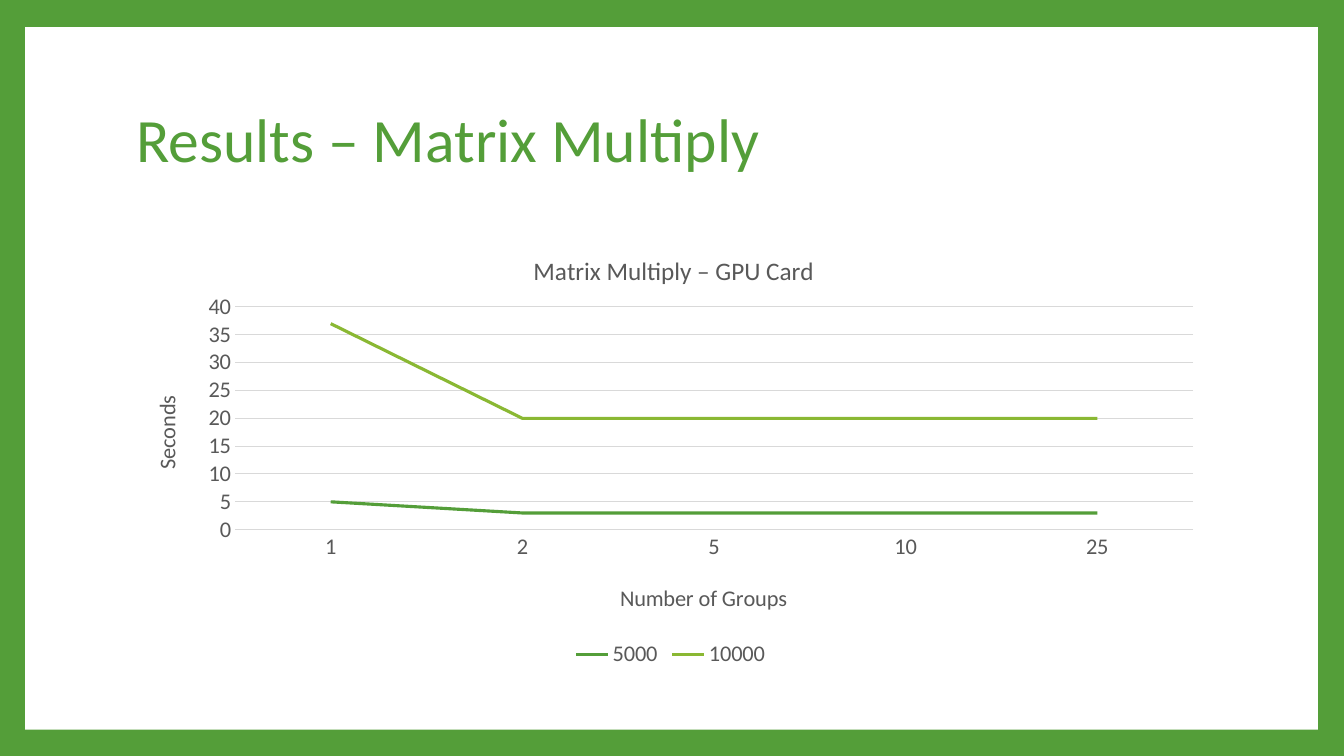
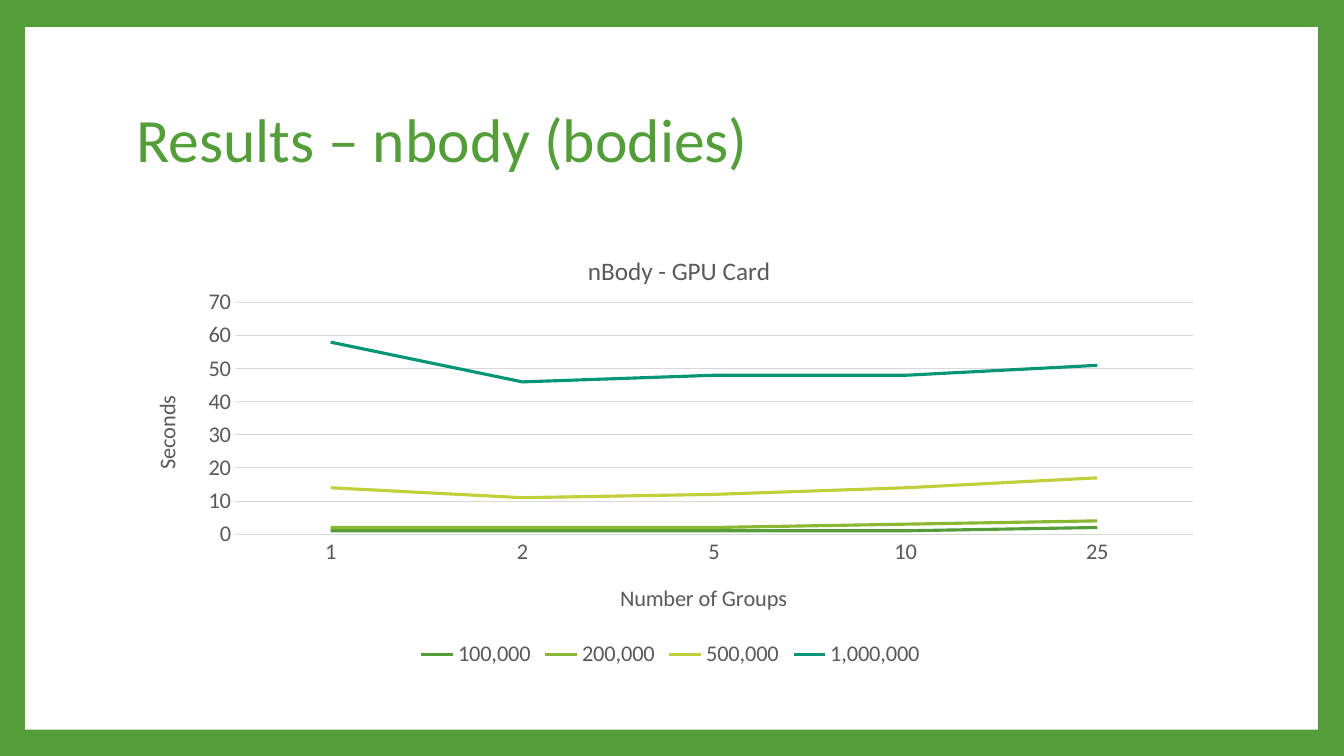
from dataclasses import dataclass

from lxml.etree import SubElement
from pptx import Presentation
from pptx.chart.data import CategoryChartData
from pptx.dml.color import RGBColor
from pptx.enum.chart import XL_CHART_TYPE as ChartType
from pptx.enum.chart import XL_LEGEND_POSITION as LegendPosition
from pptx.enum.chart import XL_TICK_MARK as TickMark
from pptx.enum.shapes import MSO_SHAPE as ShapeKind
from pptx.enum.text import MSO_ANCHOR as Anchor
from pptx.enum.text import PP_ALIGN as Align
from pptx.oxml.ns import qn
from pptx.util import Inches, Pt

# Shared style
FONT = "Calibri"
COLORS = {
    "green": "549E39",
    "lime": "8AB833",
    "yellow": "C0CF3A",
    "teal": "029676",
    "white": "FFFFFF",
    "text": "595959",
    "grid": "D9D9D9",
}
SERIES_COLORS = ("green", "lime", "yellow", "teal")
GROUPS = ("1", "2", "5", "10", "25")
TITLE_ONLY = 5


@dataclass
class ChartSlide:
    title: str
    chart_title: str
    title_left: float  # fractions of the chart size
    plot_top: float
    plot_height: float
    maximum: int
    step: int
    series: dict[str, tuple[int, ...]]


SLIDES = (
    ChartSlide(
        "Results – Matrix Multiply", "Matrix Multiply – GPU Card", 0.37, 0.18, 0.5, 40, 5,
        {"5000": (5, 3, 3, 3, 3), "10000": (37, 20, 20, 20, 20)},
    ),
    ChartSlide(
        "Results – nbody (bodies)", "nBody - GPU Card", 0.42, 0.17, 0.52, 70, 10,
        {
            "100,000": (1, 1, 1, 1, 2),
            "200,000": (2, 2, 2, 3, 4),
            "500,000": (14, 11, 12, 14, 17),
            "1,000,000": (58, 46, 48, 48, 51),
        },
    ),
)


def rgb(name: str) -> RGBColor:
    return RGBColor.from_string(COLORS[name])


def style_font(font, size: int, color: str = "text") -> None:
    font.name = FONT
    font.size = Pt(size)
    font.bold = False
    font.color.rgb = rgb(color)


def style_line(line, color: str, width: float) -> None:
    line.color.rgb = rgb(color)
    line.width = Pt(width)


def set_layout(element, index: int, settings: dict) -> None:
    """Give a chart part a fixed place, in fractions of the chart."""
    for old in element.findall(qn("c:layout")):
        element.remove(old)
    layout = SubElement(element, qn("c:layout"))
    manual = SubElement(layout, qn("c:manualLayout"))
    for tag, value in settings.items():
        SubElement(manual, qn(f"c:{tag}")).set("val", str(value))
    element.insert(index, layout)


def write_chart_text(title, text: str, size: int, left: float, top: float) -> None:
    title.text_frame.text = text
    style_font(title.text_frame.paragraphs[0].font, size)
    set_layout(title.element, 1, {"xMode": "edge", "yMode": "edge", "x": left, "y": top})


def style_master(presentation, slide) -> None:
    """Green background with a white panel, on the master."""
    master = presentation.slide_master
    master.background.fill.solid()
    master.background.fill.fore_color.rgb = rgb("green")
    panel = slide.shapes.add_shape(
        ShapeKind.RECTANGLE, Inches(0.25), Inches(0.27), Inches(12.82), Inches(6.97)
    )
    panel.shadow.inherit = False
    panel.fill.solid()
    panel.fill.fore_color.rgb = rgb("white")
    panel.line.fill.background()
    master.shapes.element.insert(2, panel.element)


def add_title(slide, text: str) -> None:
    title = slide.shapes.title
    title.left, title.top = Inches(1.25), Inches(0.67)
    title.width, title.height = Inches(10.8), Inches(1.48)
    title.text_frame.text = text
    title.text_frame.vertical_anchor = Anchor.MIDDLE
    paragraph = title.text_frame.paragraphs[0]
    paragraph.alignment = Align.LEFT
    paragraph.line_spacing = 0.9
    style_font(paragraph.font, 44, "green")


def style_axes(chart, content: ChartSlide) -> None:
    category, value = chart.category_axis, chart.value_axis
    for axis in (category, value):
        axis.major_tick_mark = axis.minor_tick_mark = TickMark.NONE
        style_font(axis.tick_labels.font, 16)
    style_line(category.format.line, "grid", 0.75)
    value.format.line.fill.background()
    style_line(value.major_gridlines.format.line, "grid", 0.75)
    value.minimum_scale = 0
    value.maximum_scale = content.maximum
    value.major_unit = content.step
    write_chart_text(category.axis_title, "Number of Groups", 16, 0.45, 0.79)
    write_chart_text(value.axis_title, "Seconds", 16, 0.02, 0.37)
    value.axis_title.element.find(f".//{qn('a:bodyPr')}").set("rot", "-5400000")


def add_line_chart(slide, content: ChartSlide) -> None:
    data = CategoryChartData()
    data.categories = GROUPS
    for name, values in content.series.items():
        data.add_series(name, values)
    chart = slide.shapes.add_chart(
        ChartType.LINE, Inches(1.25), Inches(2.25), Inches(10.8), Inches(4.42), data
    ).chart
    style_font(chart.font, 16)

    # Title, axes and legend
    write_chart_text(chart.chart_title, content.chart_title, 18, content.title_left, 0.05)
    chart.chart_title.include_in_layout = False
    style_axes(chart, content)
    chart.has_legend = True
    chart.legend.position = LegendPosition.BOTTOM
    chart.legend.include_in_layout = False
    style_font(chart.legend.font, 16)

    # Lines and plot area
    plot = chart.plots[0]
    plot.vary_by_categories = False
    for series, color in zip(plot.series, SERIES_COLORS):
        series.smooth = False
        style_line(series.format.line, color, 2.25)
    set_layout(
        chart.element.find(f".//{qn('c:plotArea')}"), 0,
        {
            "layoutTarget": "inner", "xMode": "edge", "yMode": "edge",
            "x": 0.1, "y": content.plot_top, "w": 0.88, "h": content.plot_height,
        },
    )


def main() -> None:
    presentation = Presentation()
    presentation.slide_width, presentation.slide_height = Inches(13.33), Inches(7.5)
    for number, content in enumerate(SLIDES):
        slide = presentation.slides.add_slide(presentation.slide_layouts[TITLE_ONLY])
        if number == 0:
            style_master(presentation, slide)
        add_title(slide, content.title)
        add_line_chart(slide, content)
    presentation.save("out.pptx")


if __name__ == "__main__":
    main()
